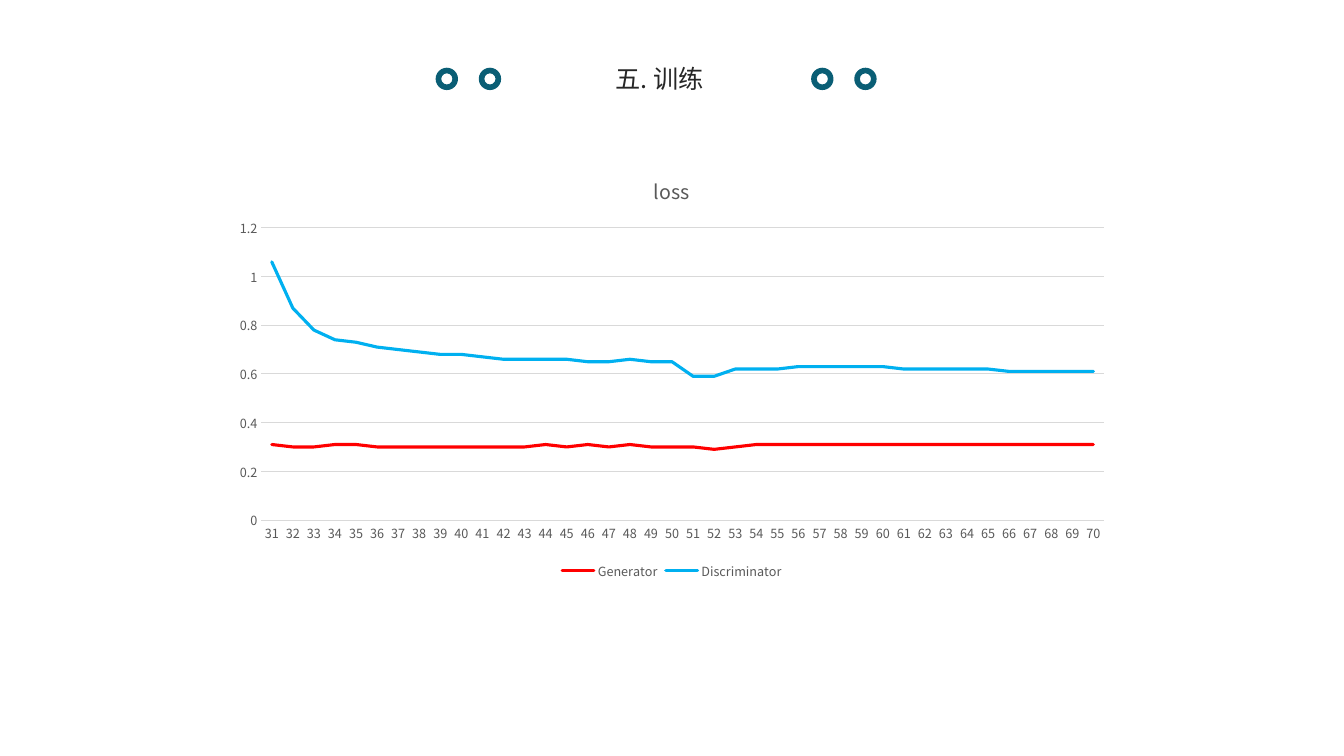
from typing import NamedTuple

from lxml import etree
from pptx import Presentation
from pptx.chart.data import CategoryChartData
from pptx.dml.color import RGBColor
from pptx.enum.chart import XL_CHART_TYPE, XL_LEGEND_POSITION, XL_TICK_MARK
from pptx.enum.shapes import MSO_SHAPE
from pptx.enum.text import MSO_ANCHOR, PP_ALIGN
from pptx.oxml.ns import qn
from pptx.util import Pt

LINE, BOTTOM, NO_TICK = XL_CHART_TYPE.LINE, XL_LEGEND_POSITION.BOTTOM, XL_TICK_MARK.NONE
DONUT, MIDDLE, CENTER = MSO_SHAPE.DONUT, MSO_ANCHOR.MIDDLE, PP_ALIGN.CENTER
FONT = "Noto Sans CJK SC"
COLORS = {
    "ring": "0A5E75", "title": "262626", "label": "595959", "grid": "D9D9D9",
    "red": "FF0000", "blue": "00B0F0",
}


class Ring(NamedTuple):
    left: float
    top: float = 48.4
    size: float = 16


class Loss(NamedTuple):
    name: str
    color: str
    values: list[float]


RINGS = [Ring(311.2), Ring(342), Ring(579.4), Ring(610.2)]
FIRST_EPOCH, LAST_EPOCH = 31, 70
LOSSES = [
    Loss("Generator", "red", [
        0.31, 0.3, 0.3, 0.31, 0.31, 0.3, 0.3, 0.3, 0.3, 0.3,
        0.3, 0.3, 0.3, 0.31, 0.3, 0.31, 0.3, 0.31, 0.3, 0.3,
        0.3, 0.29, 0.3, 0.31, 0.31, 0.31, 0.31, 0.31, 0.31, 0.31,
        0.31, 0.31, 0.31, 0.31, 0.31, 0.31, 0.31, 0.31, 0.31, 0.31]),
    Loss("Discriminator", "blue", [
        1.06, 0.87, 0.78, 0.74, 0.73, 0.71, 0.7, 0.69, 0.68, 0.68,
        0.67, 0.66, 0.66, 0.66, 0.66, 0.65, 0.65, 0.66, 0.65, 0.65,
        0.59, 0.59, 0.62, 0.62, 0.62, 0.63, 0.63, 0.63, 0.63, 0.63,
        0.62, 0.62, 0.62, 0.62, 0.62, 0.61, 0.61, 0.61, 0.61, 0.61]),
]


def rgb(name: str) -> RGBColor:
    """Return the named palette colour."""
    return RGBColor.from_string(COLORS[name])


def style_font(font, size: float, color: str) -> None:
    """Set face, size and colour of a font."""
    font.name, font.size, font.bold = FONT, Pt(size), False
    font.color.rgb = rgb(color)


def write(tf, text: str, *, size: float, color: str, align=CENTER) -> None:
    """Write one formatted paragraph into a text frame."""
    p = tf.paragraphs[0]
    p.alignment = align
    r = p.add_run()
    r.text = text
    style_font(r.font, size, color)
    ea = etree.SubElement(r.font._element, qn("a:ea"))
    ea.set("typeface", FONT)


def style_line(line, color: str, width: float) -> None:
    """Set colour and width of a line."""
    line.color.rgb, line.width = rgb(color), Pt(width)


def add_ring(slide, ring: Ring) -> None:
    """Draw one ring beside the title."""
    sp = slide.shapes.add_shape(
        DONUT, Pt(ring.left), Pt(ring.top), Pt(ring.size), Pt(ring.size))
    sp.shadow.inherit = False
    sp.fill.solid()
    sp.fill.fore_color.rgb = rgb(ring.color if hasattr(ring, "color") else "ring")
    sp.line.fill.background()


def add_title(slide, text: str) -> None:
    """Place the slide title between the rings."""
    sp = slide.shapes.title
    sp.left, sp.top, sp.width, sp.height = Pt(378), Pt(41.8), Pt(186.5), Pt(29)
    tf = sp.text_frame
    tf.word_wrap, tf.vertical_anchor = True, MIDDLE
    write(tf, text, size=18, color="title")


def add_loss_chart(slide) -> None:
    """Draw the loss of both networks per epoch."""
    data = CategoryChartData(number_format="General")
    data.categories = [str(epoch) for epoch in range(FIRST_EPOCH, LAST_EPOCH + 1)]
    for loss in LOSSES:
        data.add_series(loss.name, loss.values)
    chart = slide.shapes.add_chart(
        LINE, Pt(158.4), Pt(111.6), Pt(643), Pt(305.3), data).chart
    style_font(chart.font, 9, "label")
    chart.has_title = True
    write(chart.chart_title.text_frame, "loss", size=14, color="label")
    chart.chart_title.include_in_layout = False
    chart.has_legend = True
    chart.legend.position, chart.legend.include_in_layout = BOTTOM, False
    style_font(chart.legend.font, 9, "label")

    for axis in (chart.category_axis, chart.value_axis):
        axis.major_tick_mark = axis.minor_tick_mark = NO_TICK
        style_font(axis.tick_labels.font, 9, "label")
    style_line(chart.category_axis.format.line, "grid", 0.75)
    axis = chart.value_axis
    axis.format.line.fill.background()
    axis.minimum_scale, axis.maximum_scale, axis.major_unit = 0, 1.2, 0.2
    style_line(axis.major_gridlines.format.line, "grid", 0.75)

    plot = chart.plots[0]
    plot.vary_by_categories = False
    for series, loss in zip(plot.series, LOSSES):
        series.smooth = False
        style_line(series.format.line, loss.color, 2.25)
        series.format.line._ln.set("cap", "rnd")


def main() -> None:
    """Build and save the training slide."""
    prs = Presentation()
    prs.slide_width, prs.slide_height = Pt(960), Pt(540)
    slide = prs.slides.add_slide(prs.slide_layouts[5])
    for ring in RINGS:
        add_ring(slide, ring)
    add_title(slide, "五. 训练")
    add_loss_chart(slide)
    prs.save("out.pptx")


if __name__ == "__main__":
    main()
